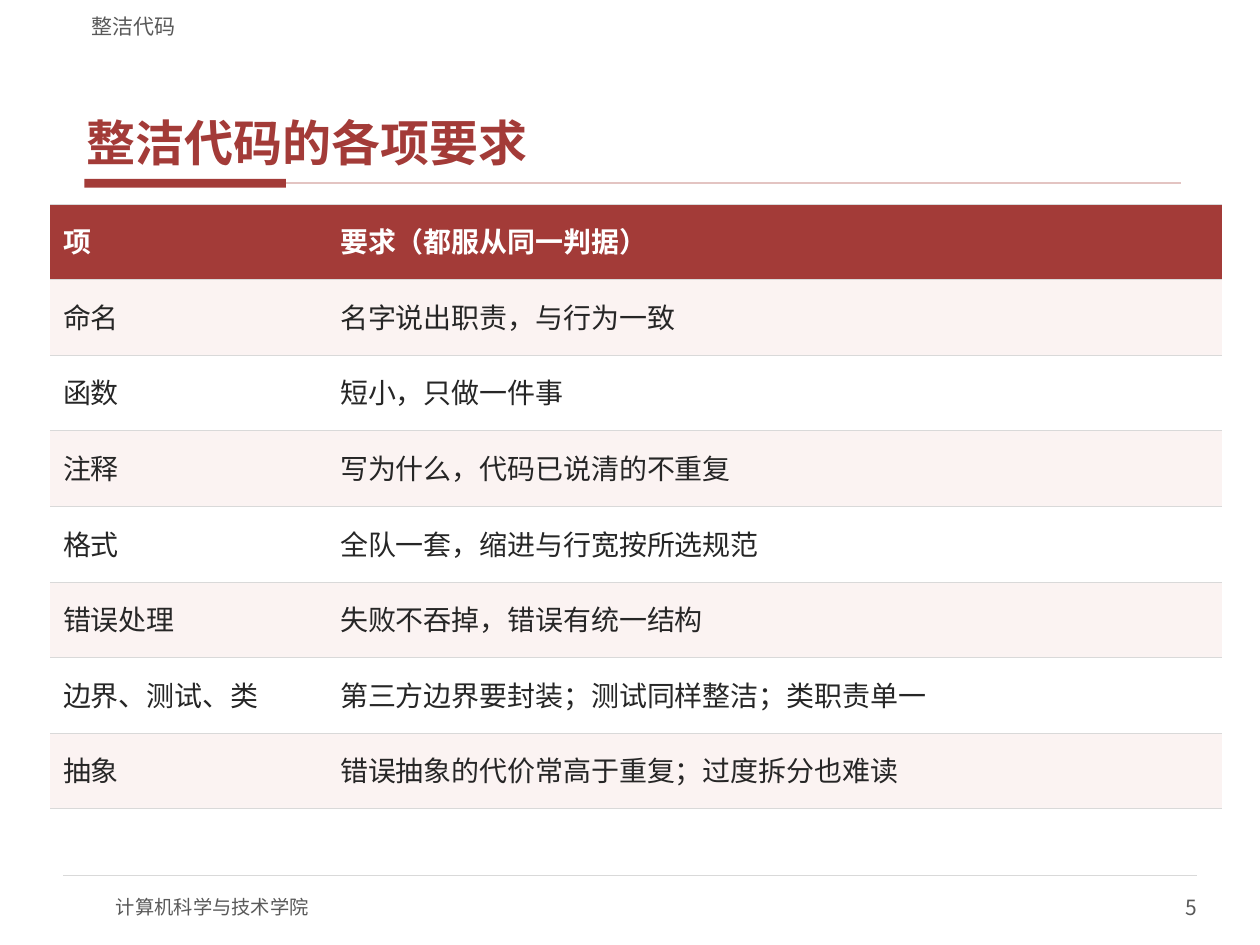
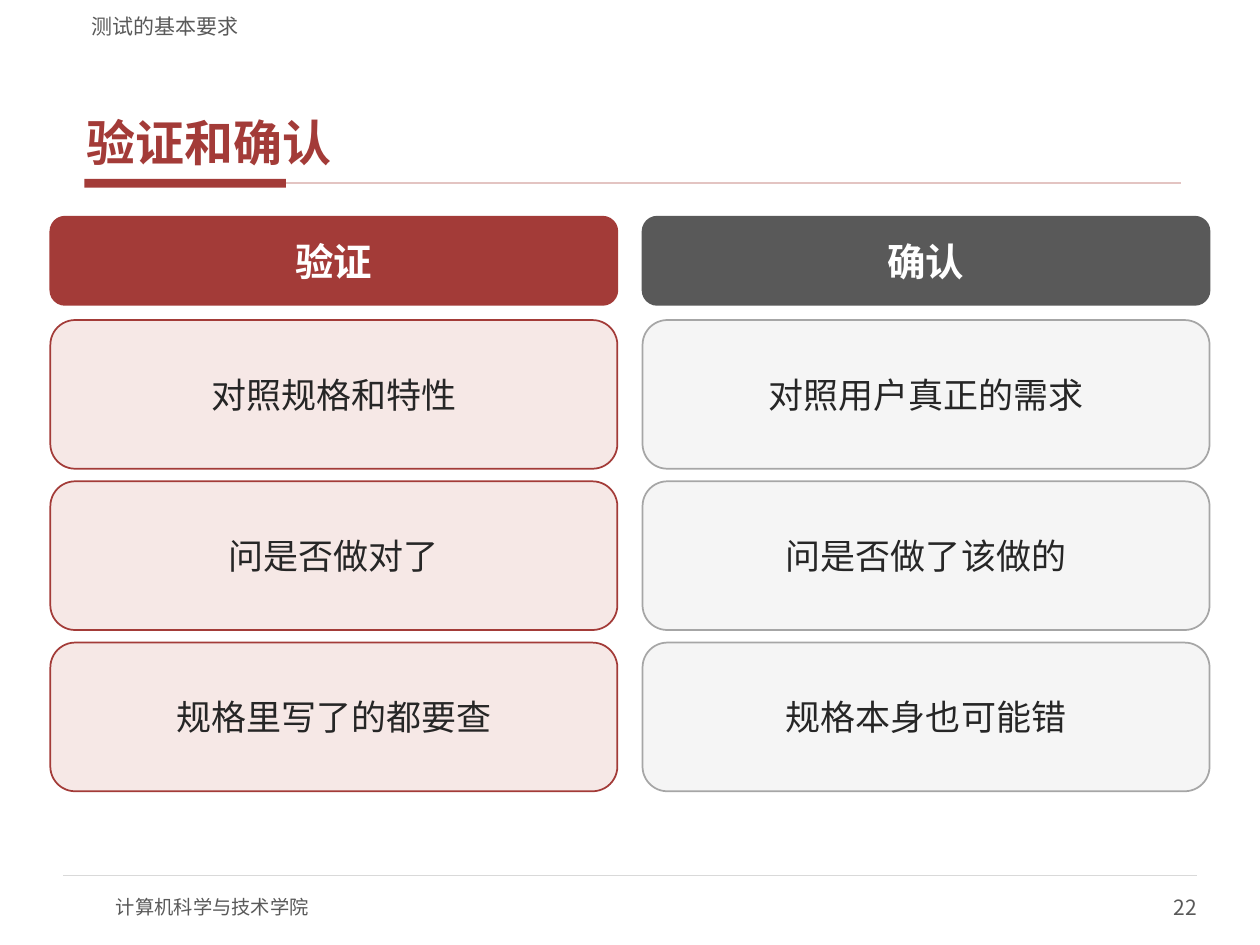
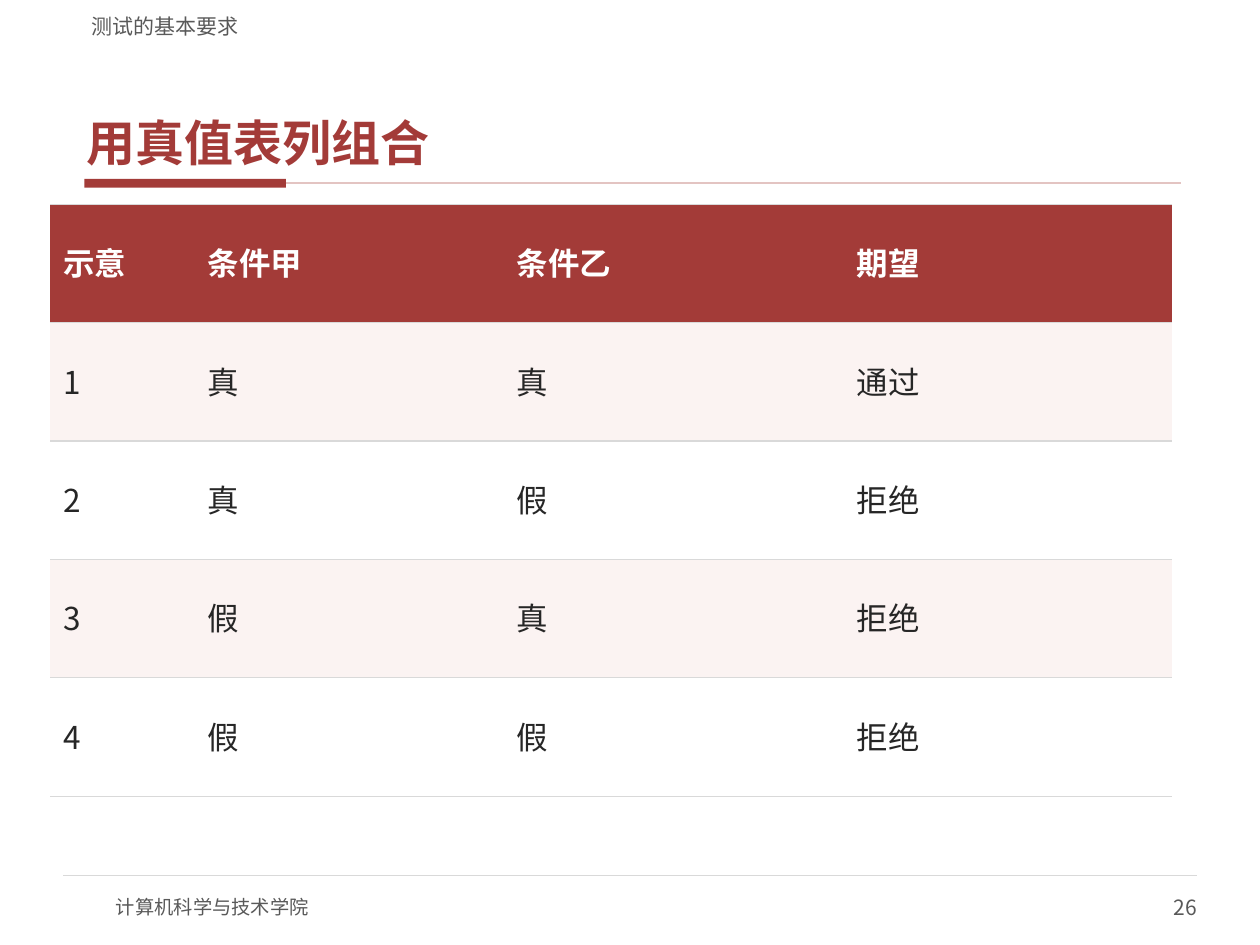
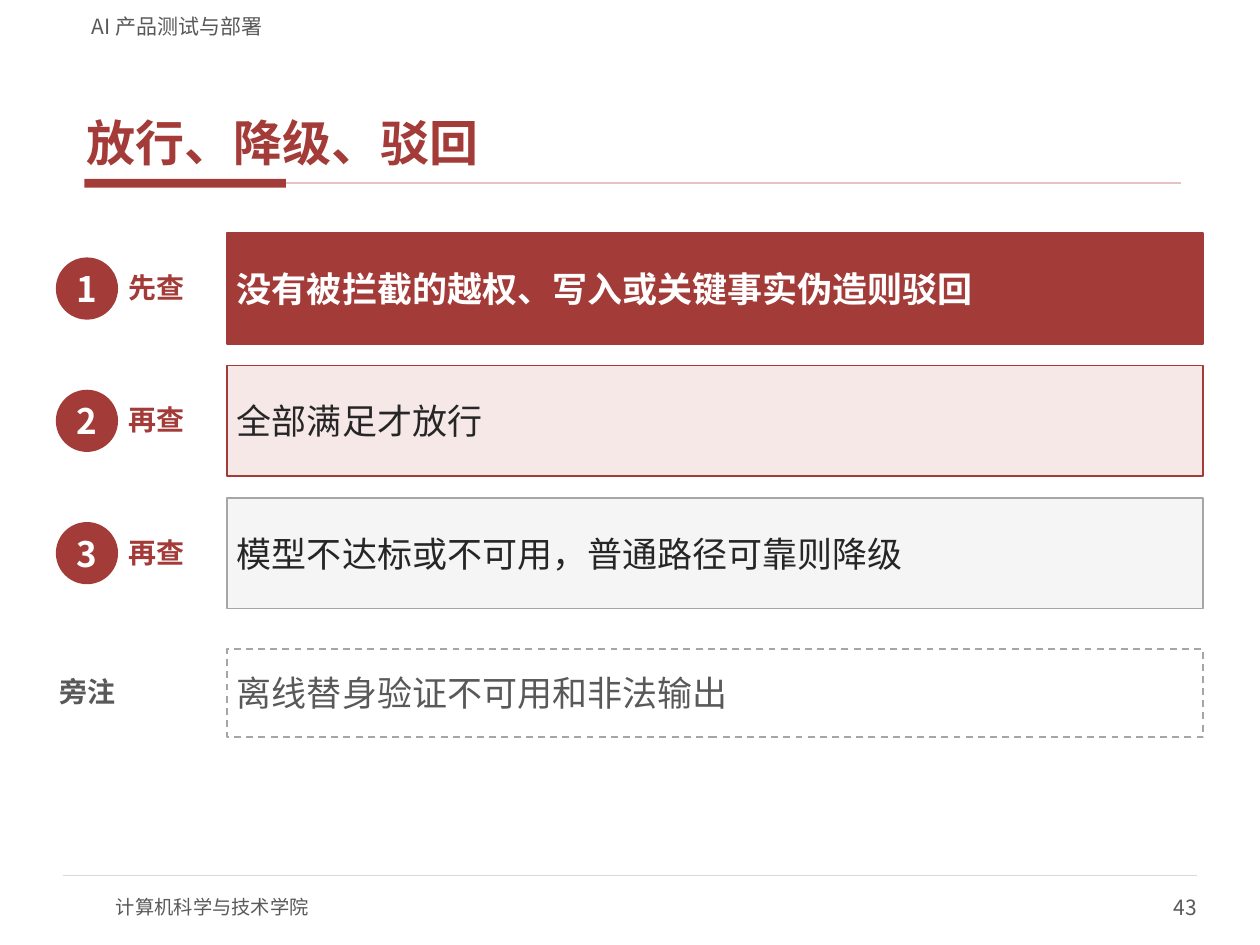
from lxml import etree
from pptx import Presentation
from pptx.dml.color import RGBColor
from pptx.enum.dml import MSO_LINE
from pptx.enum.shapes import MSO_CONNECTOR, MSO_SHAPE
from pptx.enum.text import MSO_ANCHOR, MSO_AUTO_SIZE, PP_ALIGN
from pptx.oxml.ns import qn
from pptx.util import Inches, Pt

RECT, ROUNDED, OVAL = MSO_SHAPE.RECTANGLE, MSO_SHAPE.ROUNDED_RECTANGLE, MSO_SHAPE.OVAL
LEFT, CENTER, RIGHT = PP_ALIGN.LEFT, PP_ALIGN.CENTER, PP_ALIGN.RIGHT
MIDDLE, BOTTOM = MSO_ANCHOR.MIDDLE, MSO_ANCHOR.BOTTOM
STRAIGHT, DASH, NO_AUTOFIT = MSO_CONNECTOR.STRAIGHT, MSO_LINE.DASH, MSO_AUTO_SIZE.NONE
RIGHT_SIDE = 3
TITLE_ONLY = 5

FONT = "Noto Sans CJK SC"
RED, PINK, ROSE, PALE = "A33B38", "F6E8E6", "E3C4C2", "FBF3F2"
INK, GREY, MID_GREY, RULE_GREY, LIGHT = "262626", "595959", "A6A6A6", "D9D9D9", "F5F5F5"
WHITE = "FFFFFF"

SCHOOL = "计算机科学与技术学院"

REQUIREMENTS = [
    ("项", "要求（都服从同一判据）"),
    ("命名", "名字说出职责，与行为一致"),
    ("函数", "短小，只做一件事"),
    ("注释", "写为什么，代码已说清的不重复"),
    ("格式", "全队一套，缩进与行宽按所选规范"),
    ("错误处理", "失败不吞掉，错误有统一结构"),
    ("边界、测试、类", "第三方边界要封装；测试同样整洁；类职责单一"),
    ("抽象", "错误抽象的代价常高于重复；过度拆分也难读"),
]

COMPARISON = [
    {"head": "验证", "head_fill": RED, "fill": PINK, "line": RED,
     "points": ["对照规格和特性", "问是否做对了", "规格里写了的都要查"]},
    {"head": "确认", "head_fill": GREY, "fill": LIGHT, "line": MID_GREY,
     "points": ["对照用户真正的需求", "问是否做了该做的", "规格本身也可能错"]},
]

TRUTH_TABLE = [
    ("示意", "条件甲", "条件乙", "期望"),
    ("1", "真", "真", "通过"),
    ("2", "真", "假", "拒绝"),
    ("3", "假", "真", "拒绝"),
    ("4", "假", "假", "拒绝"),
]

CHECKS = [
    ("先查", "没有被拦截的越权、写入或关键事实伪造则驳回",
     {"fill": RED, "line": RED, "color": WHITE, "bold": True}),
    ("再查", "全部满足才放行", {"fill": PINK, "line": RED}),
    ("再查", "模型不达标或不可用，普通路径可靠则降级", {"fill": LIGHT, "line": MID_GREY}),
]
SIDE_NOTE = ("旁注", "离线替身验证不可用和非法输出")


def rgb(color):
    return RGBColor.from_string(color)


def write(frame, text, size=20, color=INK, bold=False, align=LEFT, anchor=MIDDLE,
          insets=(0, 0), line_spacing=None):
    """Fill a text frame with one paragraph; insets are (horizontal, vertical) inches."""
    frame.word_wrap = True
    frame.auto_size = NO_AUTOFIT
    frame.vertical_anchor = anchor
    frame.margin_left = frame.margin_right = Inches(insets[0])
    frame.margin_top = frame.margin_bottom = Inches(insets[1])
    paragraph = frame.paragraphs[0]
    paragraph.alignment = align
    if line_spacing:
        paragraph.line_spacing = line_spacing
    run = paragraph.add_run()
    run.text = text
    font = run.font
    font.size, font.bold, font.name = Pt(size), bold, FONT
    font.color.rgb = rgb(color)
    etree.SubElement(run._r.get_or_add_rPr(), qn("a:ea"), typeface=FONT)


def add_label(slide, box, text, **style):
    label = slide.shapes.add_textbox(*map(Inches, box))
    write(label.text_frame, text, **style)


def add_block(slide, kind, box, fill, line=None, dash=None, text=None, **style):
    block = slide.shapes.add_shape(kind, *map(Inches, box))
    block.shadow.inherit = False
    block.fill.solid()
    block.fill.fore_color.rgb = rgb(fill)
    if line:
        block.line.color.rgb = rgb(line)
        block.line.width = Pt(1)
        block.line.dash_style = dash
    else:
        block.line.fill.background()
    if text:
        write(block.text_frame, text, **{"insets": (0.08, 0.04), **style})
    return block


def add_rule(slide, left, right, y, color, width):
    rule = slide.shapes.add_connector(
        STRAIGHT, Inches(left), Inches(y), Inches(right), Inches(y))
    rule.line.color.rgb = rgb(color)
    rule.line.width = Pt(width)
    etree.SubElement(rule._element.spPr, qn("a:effectLst"))
    return rule


def add_page(prs, section, title, number):
    """Add a slide with the shared title, rules, section name and footer."""
    slide = prs.slides.add_slide(prs.slide_layouts[TITLE_ONLY])
    heading = slide.shapes.title
    heading.left, heading.top, heading.width, heading.height = map(
        Inches, (0.63, 0.33, 8.75, 1.05))
    write(heading.text_frame, title, size=28, color=RED, bold=True,
          anchor=BOTTOM, insets=(0.06, 0.02))
    bar_left, bar_top, bar_width, bar_height = bar_box = (0.67, 1.42, 1.6, 0.07)
    bar = add_block(slide, RECT, bar_box, RED)
    title_rule = add_rule(slide, bar_left + bar_width, 9.37,
                          bar_top + bar_height / 2, ROSE, 1)
    title_rule.begin_connect(bar, RIGHT_SIDE)
    add_rule(slide, 0.5, 9.5, 6.95, RULE_GREY, 0.75)
    add_label(slide, (0.92, 7, 4, 0.4), SCHOOL, size=11, color=GREY)
    add_label(slide, (7.5, 7, 2, 0.4), str(number), size=12, color=GREY, align=RIGHT)
    add_label(slide, (0.63, 0.04, 8.75, 0.27), section, size=12, color=GREY,
              anchor=BOTTOM, insets=(0.1, 0))
    return slide


def set_borders(cell):
    """Draw thin rules above and below a cell and none at its sides."""
    properties = cell._tc.get_or_add_tcPr()
    for position, side in enumerate(("lnL", "lnR", "lnT", "lnB")):
        border = etree.Element(qn(f"a:{side}"), w=str(Pt(0.75)))
        if side in ("lnT", "lnB"):
            fill = etree.SubElement(border, qn("a:solidFill"))
            etree.SubElement(fill, qn("a:srgbClr"), val=RULE_GREY)
        else:
            etree.SubElement(border, qn("a:noFill"))
        properties.insert(position, border)


def add_grid(slide, rows, column_widths, row_height, size):
    grid = slide.shapes.add_table(
        len(rows), len(column_widths), Inches(0.4), Inches(1.62),
        Inches(sum(column_widths)), Inches(row_height * len(rows))).table
    for column, width in zip(grid.columns, column_widths):
        column.width = Inches(width)
    for r, row in enumerate(rows):
        grid.rows[r].height = Inches(row_height)
        header = r == 0
        fill = RED if header else PALE if r % 2 else WHITE
        for c, text in enumerate(row):
            cell = grid.cell(r, c)
            cell.fill.solid()
            cell.fill.fore_color.rgb = rgb(fill)
            cell.vertical_anchor = MIDDLE
            write_cell(cell, text, size, header)
            set_borders(cell)


def write_cell(cell, text, size, header):
    write(cell.text_frame, text, size=size, color=WHITE if header else INK,
          bold=header, line_spacing=0.9)
    cell.vertical_anchor = MIDDLE
    cell.margin_left = cell.margin_right = Inches(0.1)
    cell.margin_top = cell.margin_bottom = Inches(0.05)


def add_comparison(slide):
    width, gap = 4.5, 0.2
    head_top, head_height = 1.72, 0.7
    first_top, point_height, point_gap = 2.54, 1.18, 0.1
    for c, side in enumerate(COMPARISON):
        left = 0.4 + c * (width + gap)
        add_block(slide, ROUNDED, (left, head_top, width, head_height),
                  side["head_fill"], side["head_fill"], text=side["head"],
                  size=22, color=WHITE, bold=True, align=CENTER)
        for r, point in enumerate(side["points"]):
            top = first_top + r * (point_height + point_gap)
            add_block(slide, ROUNDED, (left, top, width, point_height),
                      side["fill"], side["line"], text=point, align=CENTER)


def add_checks(slide):
    first_top, pitch, height = 1.85, 1.05, 0.88
    rule_left, rule_width, badge = 1.8, 7.75, 0.48
    tag_style = {"size": 16, "bold": True, "insets": (0.02, 0.01)}
    for i, (order, rule, style) in enumerate(CHECKS):
        top = first_top + i * pitch
        add_block(slide, OVAL, (0.45, top + (height - badge) / 2, badge, badge),
                  RED, RED, text=str(i + 1), color=WHITE, bold=True,
                  align=CENTER, insets=(0, 0))
        add_label(slide, (1, top + 0.27, 0.8, 0.32), order, color=RED, **tag_style)
        add_block(slide, RECT, (rule_left, top, rule_width, height), text=rule, **style)
    tag, note = SIDE_NOTE
    add_block(slide, RECT, (rule_left, 5.15, rule_width, 0.7), WHITE, MID_GREY,
              dash=DASH, text=note, color=GREY)
    add_label(slide, (0.45, 5.33, 1.3, 0.32), tag, color=GREY, **tag_style)


def main():
    prs = Presentation()
    prs.slide_width, prs.slide_height = Inches(10), Inches(7.5)
    add_grid(add_page(prs, "整洁代码", "整洁代码的各项要求", 5),
             REQUIREMENTS, (2.2, 7.1), 0.6, 16)
    add_comparison(add_page(prs, "测试的基本要求", "验证和确认", 22))
    add_grid(add_page(prs, "测试的基本要求", "用真值表列组合", 26),
             TRUTH_TABLE, (1.15, 2.45, 2.7, 2.6), 0.94, 18)
    add_checks(add_page(prs, "AI 产品测试与部署", "放行、降级、驳回", 43))
    prs.save("out.pptx")


if __name__ == "__main__":
    main()
